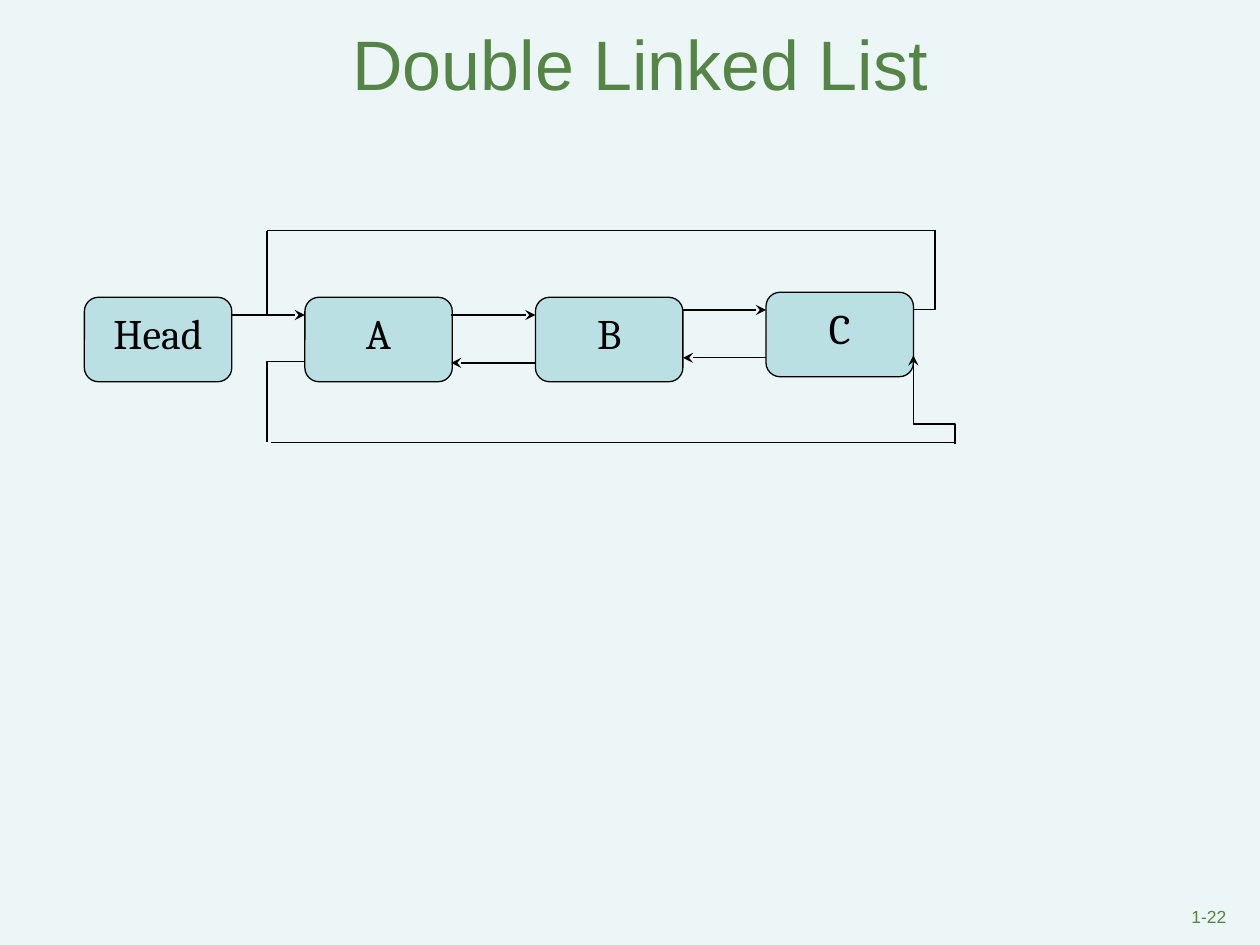
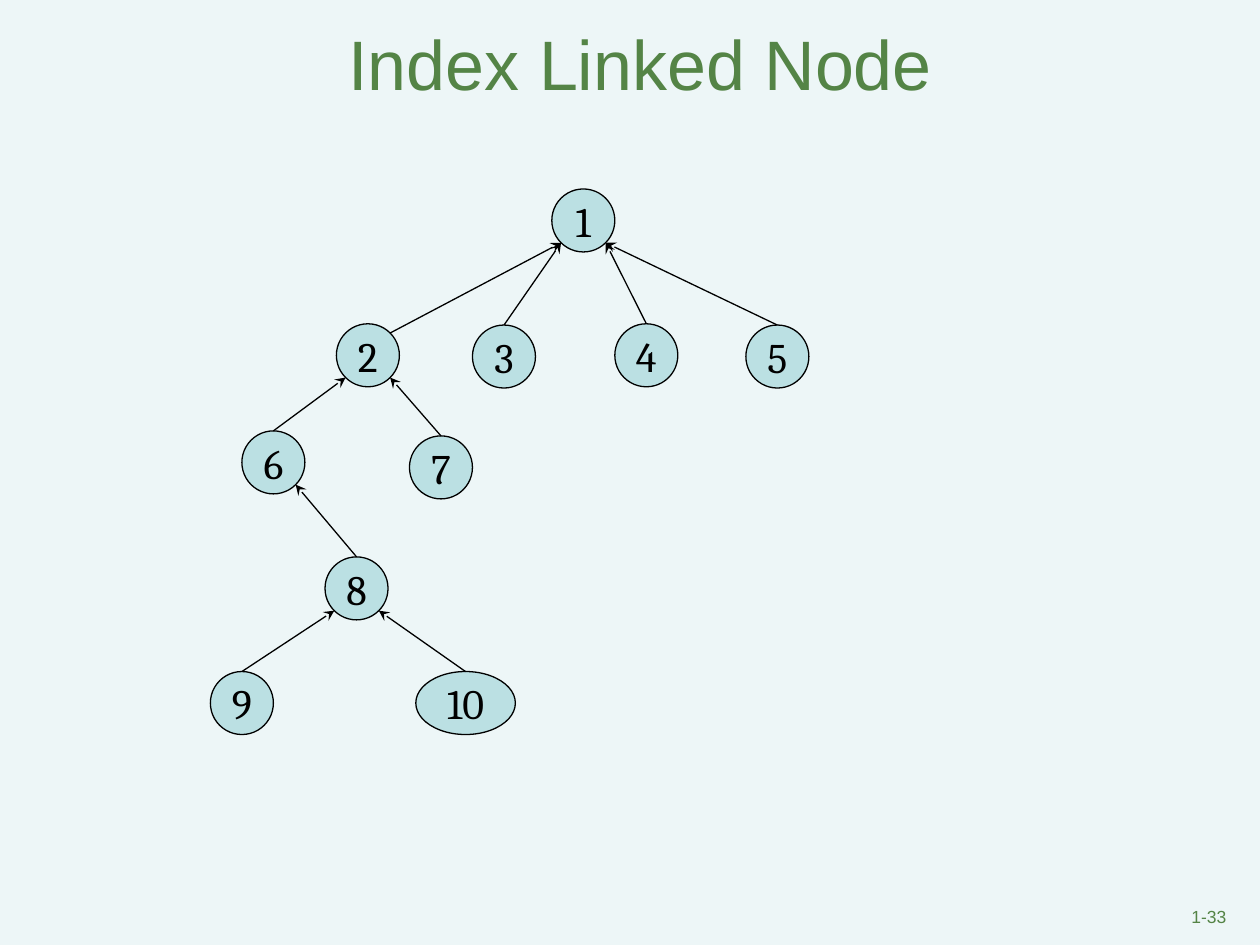
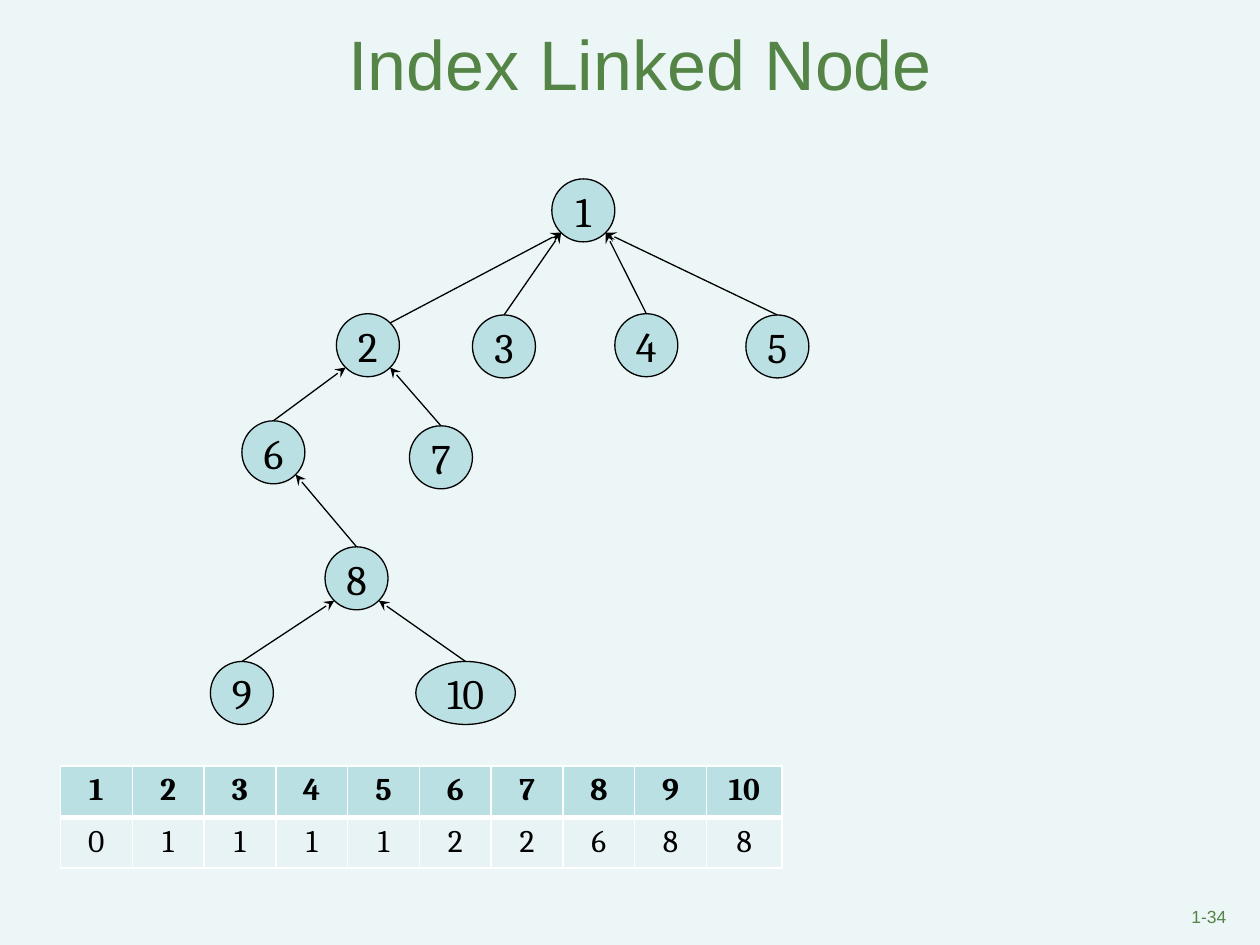
from math import sqrt

from lxml.etree import SubElement
from pptx import Presentation
from pptx.dml.color import RGBColor
from pptx.enum.shapes import MSO_CONNECTOR, MSO_SHAPE
from pptx.enum.text import MSO_ANCHOR, MSO_AUTO_SIZE, PP_ALIGN
from pptx.oxml.ns import qn
from pptx.util import Inches, Pt

COLORS = {
    "background": "EDF6F7",
    "heading": "548446",
    "node": "BBE0E3",
    "value": "E7F3F4",
    "ink": "000000",
    "border": "FFFFFF",
}
HEADING_FONT = "Arial"
BODY_FONT = "Cambria"

LIST_SIZE = (1.17, 0.67)
LIST_BOXES = {"Head": (0.67, 2.36), "A": (2.42, 2.36), "B": (4.25, 2.36), "C": (6.08, 2.32)}

NODE_SIZE = 0.5
WIDE_NODE = 0.79
NODES = {
    1: (4.38, 1.5),
    2: (2.67, 2.57),
    3: (3.75, 2.58),
    4: (4.88, 2.57),
    5: (5.92, 2.58),
    6: (1.92, 3.42),
    7: (3.25, 3.46),
    8: (2.58, 4.42),
    9: (1.67, 5.33),
    10: (3.3, 5.33),
}
PARENTS = [0, 1, 1, 1, 1, 2, 2, 6, 8, 8]
TOP, LOWER_LEFT, LOWER_RIGHT, UPPER_RIGHT = 0, 3, 5, 7
SITE_OFFSETS = {
    TOP: (0, -1),
    LOWER_LEFT: (-sqrt(0.5), sqrt(0.5)),
    LOWER_RIGHT: (sqrt(0.5), sqrt(0.5)),
    UPPER_RIGHT: (sqrt(0.5), -sqrt(0.5)),
}


def rgb(name):
    return RGBColor.from_string(COLORS[name])


def write(frame, text, size, font, color, align, anchor, bold=False):
    frame.text = text
    frame.vertical_anchor = anchor
    paragraph = frame.paragraphs[0]
    paragraph.alignment = align
    for span in paragraph.runs:
        span.font.size = Pt(size)
        span.font.name = font
        span.font.bold = bold
        span.font.color.rgb = rgb(color)


def add_page(deck, heading, number):
    page = deck.slides.add_slide(deck.slide_layouts[5])
    title = page.shapes.title
    title.left, title.top = Inches(0.33), Inches(0.25)
    title.width, title.height = Inches(9.5), Inches(0.5)
    title.text_frame.auto_size = MSO_AUTO_SIZE.NONE
    write(title.text_frame, heading, 40, HEADING_FONT, "heading",
          PP_ALIGN.CENTER, MSO_ANCHOR.MIDDLE)
    footer = page.shapes.add_textbox(Inches(7.75), Inches(7.08), Inches(2.08), Inches(0.33))
    footer.text_frame.word_wrap = True
    write(footer.text_frame, number, 10, HEADING_FONT, "heading",
          PP_ALIGN.RIGHT, MSO_ANCHOR.BOTTOM)
    return page


def add_box(page, kind, text, left, top, width, height, anchor):
    box = page.shapes.add_shape(kind, Inches(left), Inches(top), Inches(width), Inches(height))
    box.shadow.inherit = False
    box.fill.solid()
    box.fill.fore_color.rgb = rgb("node")
    box.line.color.rgb = rgb("ink")
    box.line.width = Pt(0.75)
    write(box.text_frame, text, 24, BODY_FONT, "ink", PP_ALIGN.CENTER, anchor)
    return box


def add_line(page, begin, end, arrow=False, kind=MSO_CONNECTOR.STRAIGHT):
    line = page.shapes.add_connector(kind, *[Inches(value) for value in (*begin, *end)])
    line.line.color.rgb = rgb("ink")
    line.line.width = Pt(0.75)
    properties = line._element.spPr
    if arrow:
        SubElement(properties.find(qn("a:ln")), qn("a:tailEnd"), type="stealth")
    SubElement(properties, qn("a:effectLst"))
    return line


def add_elbow(page, begin, end, bend, upright=False, arrow=False):
    if upright:
        middle_x = (begin[0] + end[0]) / 2
        middle_y = (begin[1] + end[1]) / 2
        begin, end = [(middle_x + y - middle_y, middle_y - x + middle_x) for x, y in (begin, end)]
    elbow = add_line(page, begin, end, arrow, MSO_CONNECTOR.ELBOW)
    properties = elbow._element.spPr
    if upright:
        properties.find(qn("a:xfrm")).set("rot", "5400000")
    guides = properties.find(qn("a:prstGeom")).find(qn("a:avLst"))
    SubElement(guides, qn("a:gd"), name="adj1", fmla=f"val {round(bend * 100000)}")


def site_point(node, site):
    across, down = SITE_OFFSETS[site]
    return (round(node.left + node.width / 2 * (1 + across)),
            round(node.top + node.height / 2 * (1 + down)))


def link_nodes(page, child, parent, child_site):
    parent_site = LOWER_LEFT if child.left < parent.left else LOWER_RIGHT
    link = add_line(page, (0, 0), (1, 1), arrow=True)
    link.begin_connect(child, TOP)
    link.end_connect(parent, TOP)
    for tag, site in (("a:stCxn", child_site), ("a:endCxn", parent_site)):
        next(link._element.iter(qn(tag))).set("idx", str(site))
    link.begin_x, link.begin_y = site_point(child, child_site)
    link.end_x, link.end_y = site_point(parent, parent_site)


def add_tree(page, lift=0):
    nodes = {}
    for number, (left, top) in NODES.items():
        width = WIDE_NODE if number == 10 else NODE_SIZE
        node = add_box(page, MSO_SHAPE.OVAL, str(number), left, top - lift,
                       width, NODE_SIZE, MSO_ANCHOR.MIDDLE)
        node.text_frame.margin_top = node.text_frame.margin_bottom = 0
        node.text_frame.word_wrap = False
        nodes[number] = node
    for number, parent in enumerate(PARENTS, 1):
        if parent:
            link_nodes(page, nodes[number], nodes[parent], UPPER_RIGHT if number == 2 else TOP)


def set_borders(cell, top, bottom):
    properties = cell._tc.get_or_add_tcPr()
    for side, width in (("L", 1), ("R", 1), ("T", top), ("B", bottom)):
        border = SubElement(properties, qn(f"a:ln{side}"), w=str(Pt(width)))
        fill = SubElement(border, qn("a:solidFill"))
        SubElement(fill, qn("a:srgbClr"), val=COLORS["border"])


def add_parent_table(page):
    widths = [0.57] * 9 + [0.6]
    heights = [0.41, 0.4]
    table = page.shapes.add_table(2, len(PARENTS), Inches(0.48), Inches(6.08),
                                  Inches(sum(widths)), Inches(sum(heights))).table
    for column, width in zip(table.columns, widths):
        column.width = Inches(width)
    for row, height in zip(table.rows, heights):
        row.height = Inches(height)
    styles = [(NODES, "node", True, 1, 3), (PARENTS, "value", False, 3, 1)]
    for row, (values, color, bold, top, bottom) in zip(table.rows, styles):
        for cell, value in zip(row.cells, values):
            set_borders(cell, top, bottom)
            cell.fill.solid()
            cell.fill.fore_color.rgb = rgb(color)
            write(cell.text_frame, str(value), 18, BODY_FONT, "ink",
                  PP_ALIGN.CENTER, MSO_ANCHOR.TOP, bold)


def add_double_list(page):
    for label, (left, top) in LIST_BOXES.items():
        add_box(page, MSO_SHAPE.ROUNDED_RECTANGLE, label, left, top, *LIST_SIZE, MSO_ANCHOR.TOP)
    for begin_x, end_x, y in [
        (1.83, 2.42, 2.5), (3.58, 4.25, 2.5), (4.25, 3.58, 2.88),
        (5.42, 6.08, 2.46), (6.08, 5.42, 2.84),
    ]:
        add_line(page, (begin_x, y), (end_x, y), arrow=True)
    add_elbow(page, (7.25, 2.46), (7.42, 1.83), 1)
    add_line(page, (7.42, 1.83), (2.12, 1.83))
    add_line(page, (2.12, 1.83), (2.12, 2.5))
    add_elbow(page, (2.42, 2.87), (2.12, 3.51), 1)
    add_line(page, (7.58, 3.51), (2.15, 3.51))
    add_elbow(page, (7.58, 3.52), (7.25, 2.82), 0.22, upright=True, arrow=True)


def main():
    deck = Presentation()
    deck.slide_width, deck.slide_height = Inches(10), Inches(7.5)
    background = deck.slide_master.background.fill
    background.solid()
    background.fore_color.rgb = rgb("background")

    add_double_list(add_page(deck, "Double Linked List", "1-22"))
    add_tree(add_page(deck, "Index Linked Node", "1-33"))
    page = add_page(deck, "Index Linked Node", "1-34")
    add_parent_table(page)
    add_tree(page, lift=0.08)
    deck.save("out.pptx")


if __name__ == "__main__":
    main()
